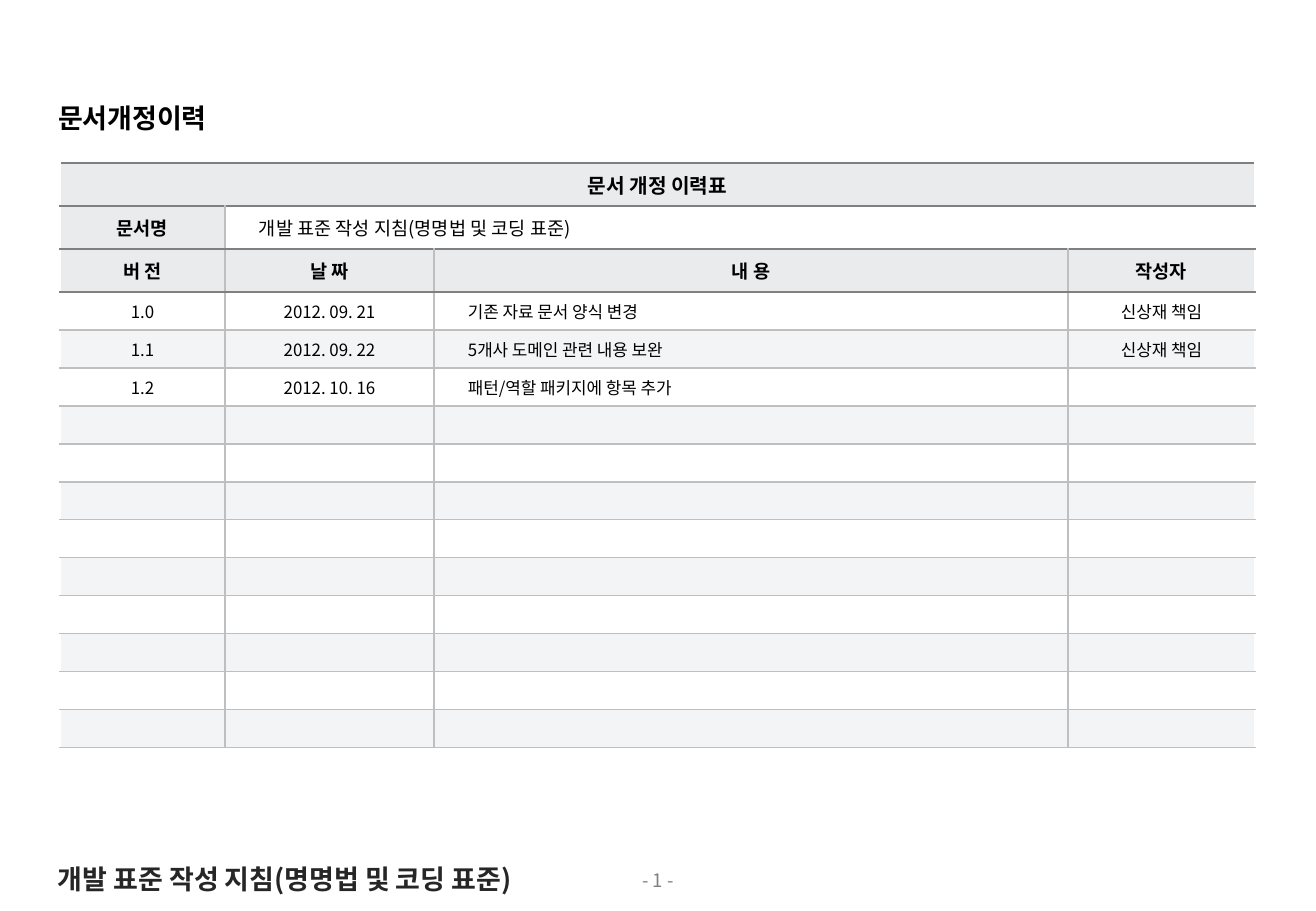
from lxml import etree
from pptx import Presentation
from pptx.dml.color import RGBColor
from pptx.enum.text import MSO_ANCHOR, MSO_AUTO_SIZE, PP_ALIGN
from pptx.oxml.ns import qn
from pptx.util import Emu, Pt

LEFT, CENTER = PP_ALIGN.LEFT, PP_ALIGN.CENTER
MIDDLE, TOP = MSO_ANCHOR.MIDDLE, MSO_ANCHOR.TOP
NO_AUTOSIZE = MSO_AUTO_SIZE.NONE
TITLE_ONLY = 5
EMU_PER_PX = 914400 / 121.5
FONT = "Noto Sans CJK KR"
COLORS = {
    "black": "000000", "footer": "262626", "rule": "808080", "grid": "BFBFBF",
    "white": "FFFFFF", "header": "E9EBED", "band": "F3F4F5",
}
DOCUMENT_NAME = "개발 표준 작성 지침(명명법 및 코딩 표준)"
HEADERS = ["버 전", "날 짜", "내 용", "작성자"]
REVISIONS = [
    ["1.0", "2012. 09. 21", "기존 자료 문서 양식 변경", "신상재 책임"],
    ["1.1", "2012. 09. 22", "5개사 도메인 관련 내용 보완", "신상재 책임"],
    ["1.2", "2012. 10. 16", "패턴/역할 패키지에 항목 추가", ""],
]
COLUMN_WIDTHS = [165, 209, 634, 187]
HEADER_ROWS, REVISION_ROWS = 3, 12
HEADER_HEIGHT, REVISION_HEIGHT = 43, 38


def px(value):
    """Turn pixels into EMU."""
    return Emu(round(value * EMU_PER_PX))


def set_attributes(target, values):
    """Set each named attribute of the target."""
    for name, value in values.items():
        setattr(target, name, value)


class RevisionSlide:
    """Hold the text style and the current slide."""

    def __init__(self, presentation):
        """Add a slide that has only a title."""
        self.slide = presentation.slides.add_slide(presentation.slide_layouts[TITLE_ONLY])

    def text(self, text_frame, text, size, color="black", bold=False, alignment=LEFT):
        """Put one formatted paragraph in a text frame."""
        paragraph = text_frame.paragraphs[0]
        paragraph.alignment = alignment
        if not text:
            etree.SubElement(paragraph._p, qn("a:endParaRPr"), sz=str(size * 100))
            return
        run = paragraph.add_run()
        run.text = text
        run.font.color.rgb = RGBColor.from_string(COLORS[color])
        set_attributes(run.font, {"size": Pt(size), "bold": bold, "name": FONT})
        etree.SubElement(run.font._element, qn("a:ea"), typeface=FONT)

    def frame(self, shape, text, **style):
        """Prepare the text frame of a shape and fill in its text."""
        set_attributes(shape.text_frame, {
            "word_wrap": True, "auto_size": NO_AUTOSIZE, "vertical_anchor": TOP,
        })
        self.text(shape.text_frame, text, **style)

    def title(self, text, left, top, width, height, **style):
        """Move the title placeholder and fill it."""
        shape = self.slide.shapes.title
        set_attributes(shape, {
            "left": px(left), "top": px(top), "width": px(width), "height": px(height),
        })
        self.frame(shape, text, **style)

    def label(self, text, left, top, width, height, **style):
        """Add a text box."""
        box = self.slide.shapes.add_textbox(px(left), px(top), px(width), px(height))
        self.frame(box, text, **style)

    def table(self, left, top, widths, heights):
        """Add a plain table with the given column widths and row heights."""
        table = self.slide.shapes.add_table(
            len(heights), len(widths), px(left), px(top), px(sum(widths)), px(sum(heights))
        ).table
        set_attributes(table, {"first_row": False, "horz_banding": False})
        for column, width in zip(table.columns, widths):
            column.width = px(width)
        for row, height in zip(table.rows, heights):
            row.height = px(height)
        return table

    def cell(self, cell, text, fill, borders, indent=7, **style):
        """Fill and border one table cell and set its text."""
        set_attributes(cell, {
            "vertical_anchor": MIDDLE, "margin_left": px(indent), "margin_right": px(7),
            "margin_top": px(4), "margin_bottom": px(4),
        })
        properties = cell._tc.get_or_add_tcPr()
        for side, color in borders.items():
            line = etree.SubElement(properties, qn(f"a:ln{side}"), w=str(Pt(1)))
            solid = etree.SubElement(line, qn("a:solidFill"))
            etree.SubElement(solid, qn("a:srgbClr"), val=COLORS[color])
        if fill:
            cell.fill.solid()
            cell.fill.fore_color.rgb = RGBColor.from_string(COLORS[fill])
        else:
            cell.fill.background()
        self.text(cell.text_frame, text, **style)

    def revision_table(self, left, top):
        """Add the revision history table."""
        heights = [HEADER_HEIGHT] * HEADER_ROWS + [REVISION_HEIGHT] * REVISION_ROWS
        table = self.table(left, top, COLUMN_WIDTHS, heights)
        last = len(COLUMN_WIDTHS) - 1
        table.cell(0, 0).merge(table.cell(0, last))
        table.cell(1, 1).merge(table.cell(1, last))
        blank = [""] * len(COLUMN_WIDTHS)
        rows = [["문서 개정 이력표", "", "", ""], ["문서명", DOCUMENT_NAME, "", ""], HEADERS]
        rows += REVISIONS + [blank] * (REVISION_ROWS - len(REVISIONS))
        for row, texts in enumerate(rows):
            is_header = row < HEADER_ROWS
            for column, text in enumerate(texts):
                cell = table.cell(row, column)
                is_name = row == 1 and column > 0
                is_indented = is_name or (not is_header and column == 2)
                merged = cell.is_merge_origin or cell.is_spanned
                borders = {
                    "L": "white" if column == 0 or cell.is_spanned else "grid",
                    "R": "white" if column == last or merged else "grid",
                    "T": "rule" if row <= HEADER_ROWS else "grid",
                    "B": "rule" if is_header else "grid",
                }
                if is_header:
                    fill = None if is_name else "header"
                else:
                    fill = "band" if (row - HEADER_ROWS) % 2 else None
                self.cell(
                    cell, text, fill, borders,
                    indent=34 if is_indented else 7,
                    size=12 if row == 0 else 11 if is_header else 10,
                    bold=is_header and not is_name,
                    alignment=LEFT if is_indented else CENTER,
                )


def main():
    """Build and save the revision history slide."""
    presentation = Presentation()
    set_attributes(presentation, {"slide_width": px(1316), "slide_height": px(911)})
    page = RevisionSlide(presentation)
    page.title("문서개정이력", 46, 95, 188, 45, size=16, bold=True)
    page.revision_table(60, 163)
    page.label("- 1 -", 0, 863, 1316, 35, size=11, color="rule", alignment=CENTER)
    page.label(DOCUMENT_NAME, 46, 857, 538, 45, size=16, color="footer", bold=True)
    presentation.save("out.pptx")


if __name__ == "__main__":
    main()
